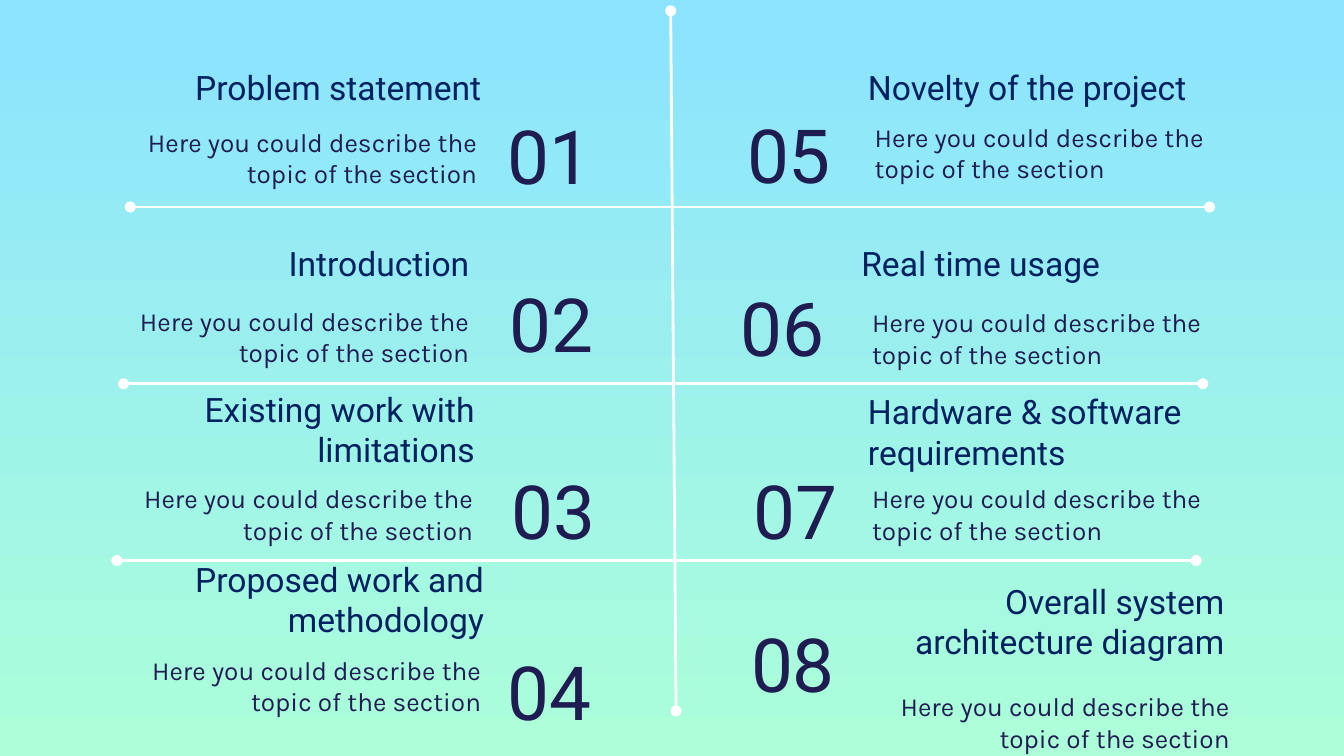
from dataclasses import dataclass

from lxml.etree import SubElement
from pptx import Presentation
from pptx.dml.color import RGBColor
from pptx.enum.shapes import MSO_CONNECTOR
from pptx.enum.text import MSO_ANCHOR, PP_ALIGN
from pptx.oxml.ns import qn
from pptx.slide import Slide
from pptx.util import Pt

SKY = RGBColor(0x8B, 0xE3, 0xFF)
MINT = RGBColor(0xAC, 0xFF, 0xD9)
NAVY = RGBColor(0x00, 0x20, 0x60)
INDIGO = RGBColor(0x1F, 0x1C, 0x51)
WHITE = RGBColor(0xFF, 0xFF, 0xFF)

LEFT, RIGHT = PP_ALIGN.LEFT, PP_ALIGN.RIGHT
DESCRIPTION = ("Here you could describe the", "topic of the section")


@dataclass(frozen=True)
class Area:
    left: float
    top: float
    width: float = 214.6
    height: float = 49.7


@dataclass(frozen=True)
class Style:
    font: str
    size: float
    color: RGBColor
    anchor: MSO_ANCHOR


@dataclass(frozen=True)
class Section:
    number: str
    title: str
    number_area: Area
    title_area: Area
    description_area: Area
    number_align: PP_ALIGN
    text_align: PP_ALIGN


NUMBER_STYLE = Style("Roboto", 40, INDIGO, MSO_ANCHOR.MIDDLE)
TITLE_STYLE = Style("Roboto", 18, NAVY, MSO_ANCHOR.BOTTOM)
DESCRIPTION_STYLE = Style("Karla", 14, INDIGO, MSO_ANCHOR.TOP)


def number_area(left: float, top: float) -> Area:
    return Area(left, top, 93.6, 61.9)


SECTIONS = (
    Section("01", "Problem statement", number_area(265, 51.8),
            Area(50.4, 28.8, height=36), Area(48.2, 60.5), LEFT, RIGHT),
    Section("02", "Introduction", number_area(265.7, 141.8),
            Area(43.9, 123.1, height=36), Area(43.9, 156.2), LEFT, RIGHT),
    Section("03", "Existing work with limitations", number_area(267.1, 241.9),
            Area(46.8, 207.4, height=51.1), Area(46.1, 251.3), LEFT, RIGHT),
    Section("04", "Proposed work and methodology", number_area(265, 339.1),
            Area(69.8, 305.3, 196.6, 44.6), Area(50.4, 343.4, height=46.1), LEFT, RIGHT),
    Section("05", "Novelty of the project", number_area(358.6, 51.1),
            Area(457.9, 28.8, height=36), Area(461.5, 57.6), RIGHT, LEFT),
    Section("06", "Real time usage", number_area(355, 144),
            Area(454.3, 123.1, height=36), Area(460.1, 157), RIGHT, LEFT),
    Section("07", "Hardware & software requirements", number_area(362.2, 241.9),
            Area(457.9, 214.6, height=45.4), Area(460.1, 251.3), RIGHT, LEFT),
    Section("08", "Overall system architecture diagram", number_area(395.3, 324),
            Area(465.8, 321.8, 197.3, 39.6), Area(451.4, 362.9, height=36.7), LEFT, RIGHT),
)


def add_text(page: Slide, area: Area, lines: tuple[str, ...], style: Style, align: PP_ALIGN) -> None:
    box = page.shapes.add_textbox(Pt(area.left), Pt(area.top), Pt(area.width), Pt(area.height))
    frame = box.text_frame
    frame.word_wrap = True
    frame.vertical_anchor = style.anchor
    frame.margin_left = frame.margin_right = Pt(7.2)
    frame.margin_top = frame.margin_bottom = Pt(7.2)
    frame.text = "\n".join(lines)
    for para in frame.paragraphs:
        para.alignment = align
        para.font.name = style.font
        para.font.size = Pt(style.size)
        para.font.color.rgb = style.color


def add_divider(page: Slide, x1: float, y1: float, x2: float, y2: float) -> None:
    divider = page.shapes.add_connector(MSO_CONNECTOR.STRAIGHT, Pt(x1), Pt(y1), Pt(x2), Pt(y2))
    divider.line.color.rgb = WHITE
    divider.line.width = Pt(1.5)
    outline = divider.line._get_or_add_ln()
    for end in ("a:headEnd", "a:tailEnd"):
        SubElement(outline, qn(end), type="oval")
    SubElement(divider._element.spPr, qn("a:effectLst"))


def add_section(page: Slide, section: Section) -> None:
    add_text(page, section.number_area, (section.number,), NUMBER_STYLE, section.number_align)
    add_text(page, section.title_area, (section.title,), TITLE_STYLE, section.text_align)
    add_text(page, section.description_area, DESCRIPTION, DESCRIPTION_STYLE, section.text_align)


def paint_background(page: Slide) -> None:
    fill = page.background.fill
    fill.gradient()
    fill.gradient_angle = 270
    for stop, color in zip(fill.gradient_stops, (SKY, MINT)):
        stop.color.rgb = color


def main() -> None:
    """Build the eight-section contents slide and save it."""
    deck = Presentation()
    deck.slide_width, deck.slide_height = Pt(720), Pt(405)
    page = deck.slides.add_slide(deck.slide_layouts[6])
    paint_background(page)
    add_divider(page, 359.3, 5.8, 362.2, 380.9)
    for row in range(3):
        left, top = 69.8 - 3.6 * row, 110.9 + 94.7 * row
        add_divider(page, left, top, left + 578.2, top)
    for section in SECTIONS:
        add_section(page, section)
    deck.save("out.pptx")


if __name__ == "__main__":
    main()
